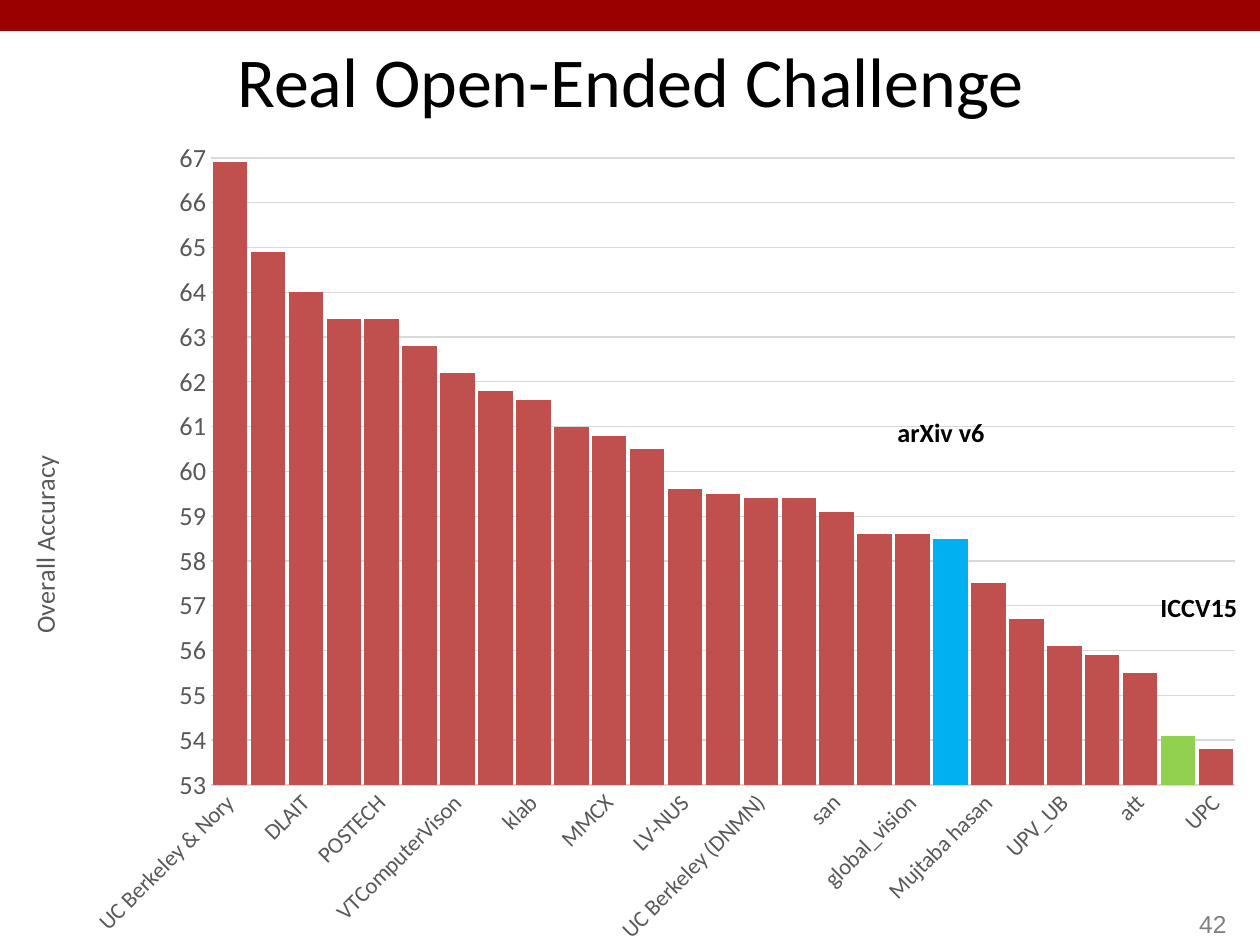
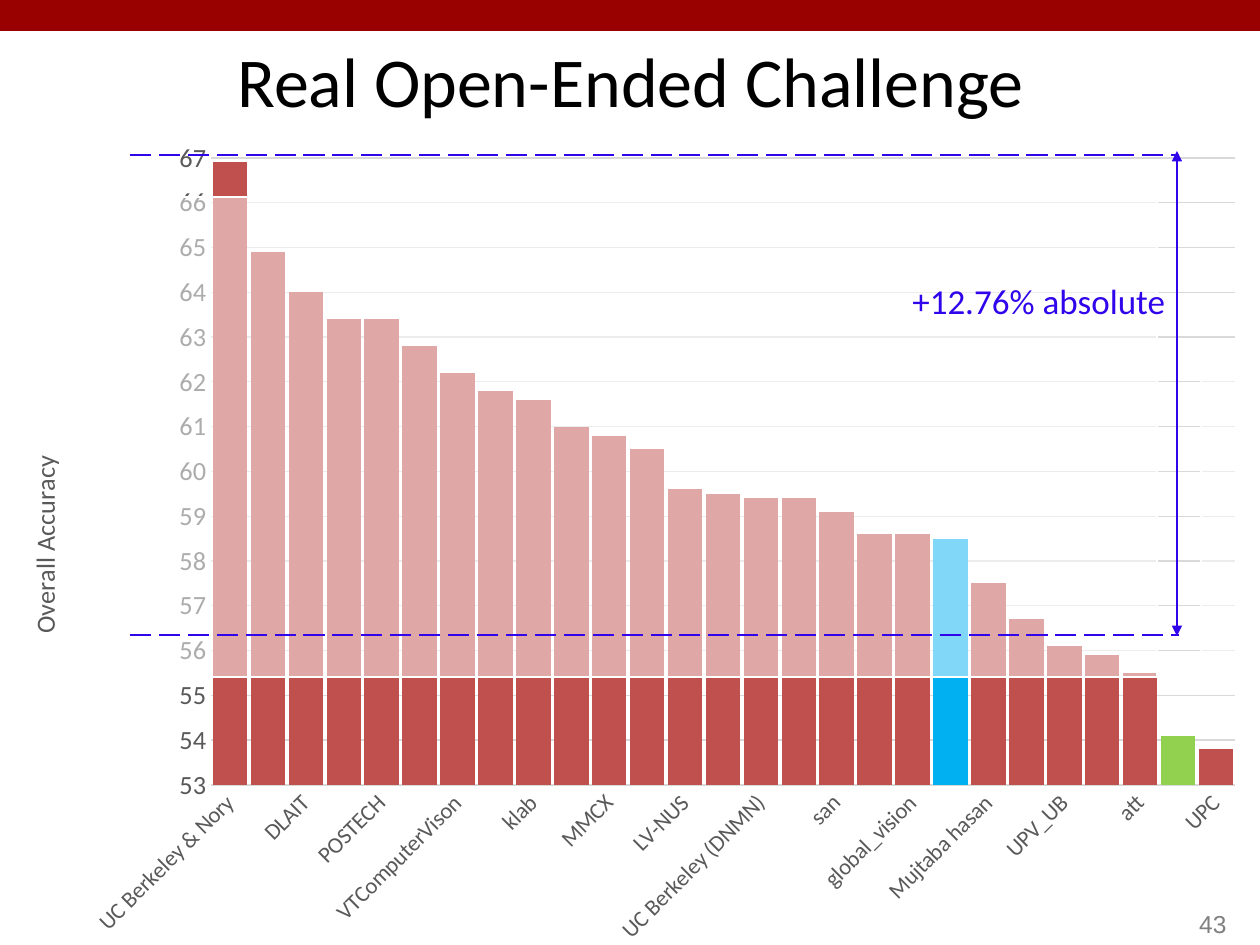
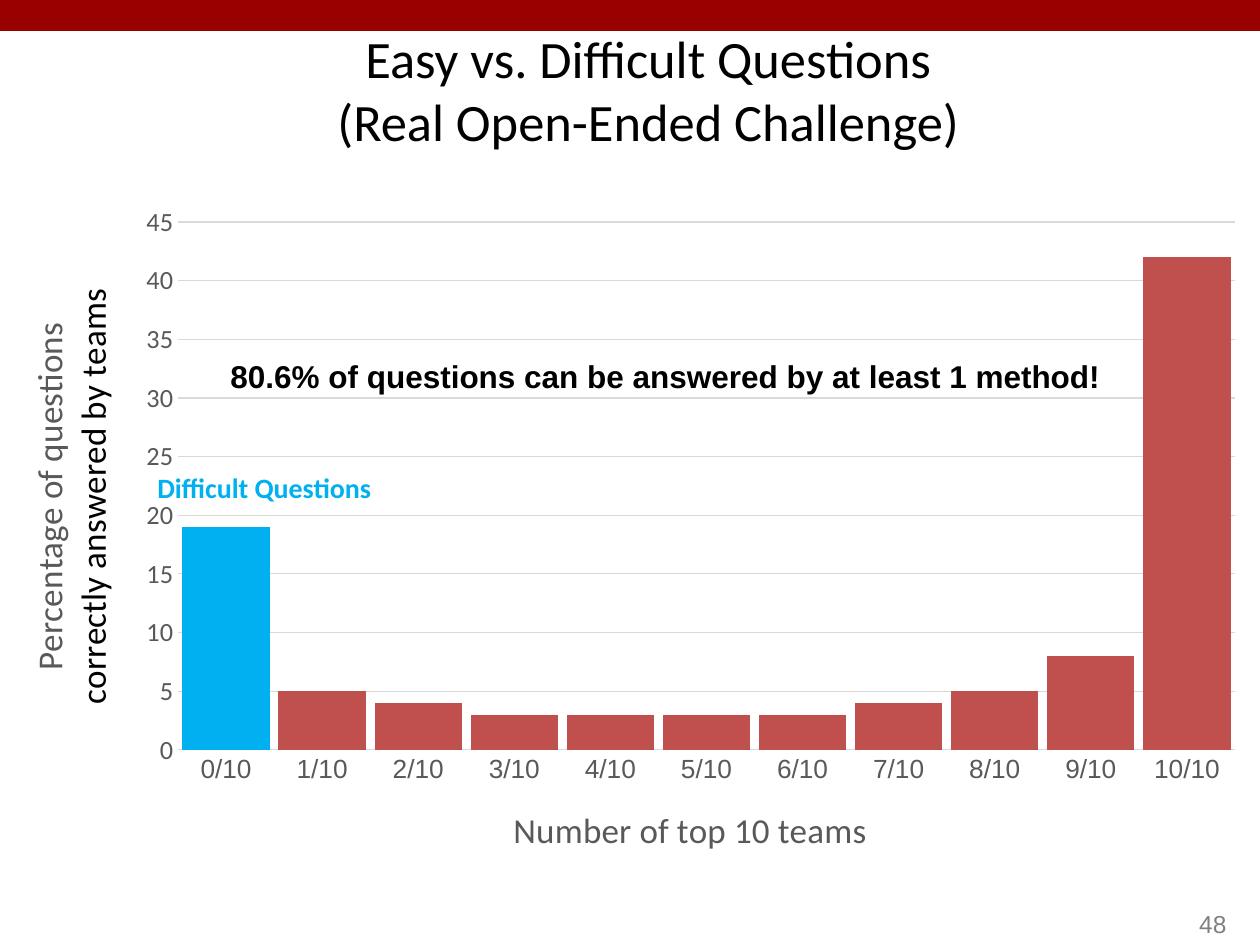
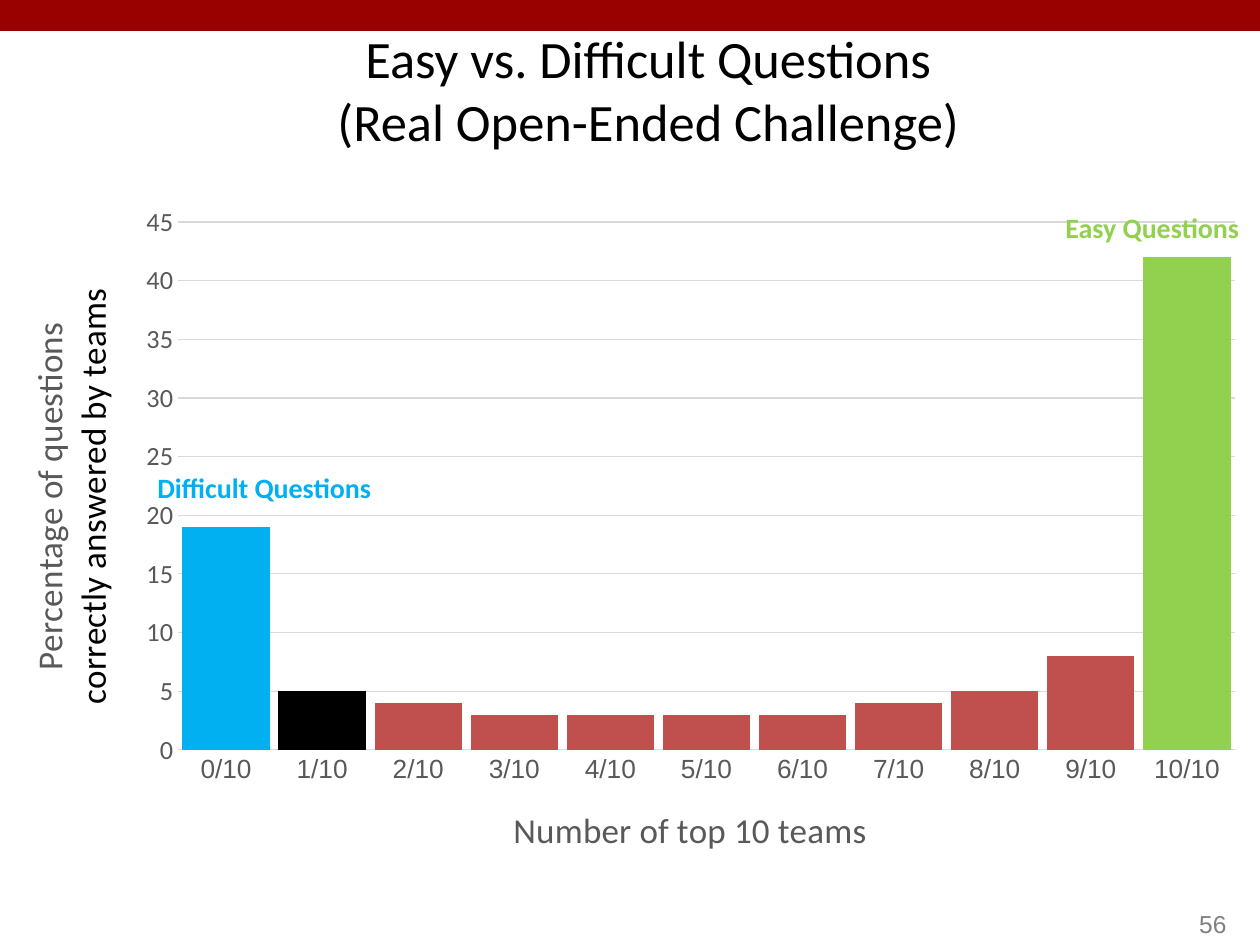
"""Build four slides on the results of the Real Open-Ended Challenge."""
from lxml.etree import SubElement
from pptx import Presentation
from pptx.chart.data import CategoryChartData
from pptx.dml.color import RGBColor
from pptx.enum.chart import XL_CHART_TYPE, XL_TICK_MARK
from pptx.enum.dml import MSO_LINE
from pptx.enum.shapes import MSO_CONNECTOR, MSO_SHAPE
from pptx.enum.text import MSO_ANCHOR, MSO_AUTO_SIZE, PP_ALIGN
from pptx.oxml.ns import qn
from pptx.util import Emu, Pt

PX = 914400 / 126
COLORS = {
    "band": "990000", "black": "000000", "white": "FFFFFF", "number": "808080",
    "axis": "595959", "grid": "D9D9D9", "bar": "C0504D", "blue": "00B0F0",
    "green": "92D050", "gain": "3105EB",
}
RGB = {name: RGBColor.from_string(value) for name, value in COLORS.items()}

LABELLED_TEAMS = [
    "UC Berkeley & Nory", "DLAIT", "POSTECH", "VTComputerVison", "klab", "MMCX", "LV-NUS",
    "UC Berkeley (DNMN)", "san", "global_vision", "Mujtaba hasan", "UPV_UB", "att", "UPC",
]
SCORES = [
    66.9, 64.9, 64, 63.4, 63.4, 62.8, 62.2, 61.8, 61.6, 61, 60.8, 60.5, 59.6, 59.5,
    59.4, 59.4, 59.1, 58.6, 58.6, 58.5, 57.5, 56.7, 56.1, 55.9, 55.5, 54.1, 53.8,
]
TEAMS = [""] * len(SCORES)
TEAMS[::2] = LABELLED_TEAMS
SHARES = [19, 5, 4, 3, 3, 3, 3, 4, 5, 8, 42]
TEAM_COUNTS = [f"{count}/10" for count in range(len(SHARES))]

RANKING = {
    "title": "Real Open-Ended Challenge", "title_box": (95, 32, 1071, 94), "title_size": 40,
    "categories": TEAMS, "values": SCORES,
    "box": (0, 126, 1260, 835), "plot": (211, 158, 1024, 627),
    "scale": (53, 67, 1), "category_font": ("Calibri", 13), "turn": "-2700000",
    "value_title": ("Overall Accuracy", 15, (22, 451)), "category_title": None,
}
DIFFICULTY = {
    "title": "Easy vs. Difficult Questions\n(Real Open-Ended Challenge)",
    "title_box": (113, 42, 1071, 94), "title_size": 30,
    "categories": TEAM_COUNTS, "values": SHARES,
    "box": (0, 193, 1260, 690), "plot": (178, 222, 1057, 528),
    "scale": (0, 45, 5), "category_font": ("Arial", 15), "turn": "0",
    "value_title": ("Percentage of questions\ncorrectly answered by teams", 20, (22, 285)),
    "category_title": ("Number of top 10 teams", 20, (507, 799)),
}
HARD_LABEL = ("Difficult Questions", (145, 464, 262, 52), "Calibri", 16, "blue")
SLIDES = [
    (RANKING, "42", {19: "blue", 25: "green"}, [
        ("ICCV15", (1148, 585, 140, 44), "Calibri", 15, "black"),
        ("arXiv v6", (885, 410, 131, 44), "Calibri", 15, "black")]),
    (RANKING, "43", {19: "blue", 25: "green"}, []),
    (DIFFICULTY, "48", {0: "blue"}, [
        ("80.6% of questions can be answered by at least 1 method!",
         (218, 351, 901, 52), "Arial", 18, "black"),
        HARD_LABEL]),
    (DIFFICULTY, "56", {0: "blue", 1: "black", 10: "green"}, [
        HARD_LABEL,
        ("Easy Questions", (1053, 204, 207, 47), "Calibri", 16, "green")]),
]
VEILS = [(1201, 350, 59, 328), (168, 197, 989, 480)]
GAIN_LINES = [(130, 155, 1179, 155), (130, 635, 1179, 635), (1177, 151, 1177, 636)]


def emu(*lengths):
    """Turn px lengths into EMU."""
    return [Emu(round(length * PX)) for length in lengths]


def write(shape, text, font, size, color, bold=False, align=PP_ALIGN.LEFT):
    """Set the text of a shape and format every run."""
    frame = shape.text_frame
    frame.word_wrap = True
    frame.auto_size = MSO_AUTO_SIZE.NONE
    frame.text = text
    for paragraph in frame.paragraphs:
        paragraph.alignment = align
        for run in paragraph.runs:
            run.font.name, run.font.size, run.font.bold = font, Pt(size), bold
            run.font.color.rgb = RGB[color]


prs = Presentation()
prs.slide_width, prs.slide_height = emu(1260, 945)

for number, (topic, page, highlights, labels) in enumerate(SLIDES):
    slide = prs.slides.add_slide(prs.slide_layouts[5])
    shapes = slide.shapes
    if number == 0:
        band = shapes.add_shape(MSO_SHAPE.RECTANGLE, *emu(0, 0, 1260, 31))
        band.shadow.inherit = False
        band.fill.solid()
        band.fill.fore_color.rgb = RGB["band"]
        band.line.fill.background()
        prs.slide_master.shapes.element.insert(2, band.element)

    title = shapes.title
    title.left, title.top, title.width, title.height = emu(*topic["title_box"])
    write(title, topic["title"], "Calibri", topic["title_size"], "black", align=PP_ALIGN.CENTER)
    title.text_frame.vertical_anchor = MSO_ANCHOR.MIDDLE

    data = CategoryChartData()
    data.categories = topic["categories"]
    data.add_series("Series 1", topic["values"])
    chart = shapes.add_chart(XL_CHART_TYPE.COLUMN_CLUSTERED, *emu(*topic["box"]), data).chart
    chart.has_legend = chart.has_title = False
    chart.font.name, chart.font.size = "Arial", Pt(10)
    chart.font.color.rgb = RGB["black"]
    columns = chart.plots[0]
    columns.vary_by_categories = False
    columns.gap_width, columns.overlap = 10, -27
    bars = columns.series[0]
    bars.invert_if_negative = False
    bars.format.fill.solid()
    bars.format.fill.fore_color.rgb = RGB["bar"]
    for index, color in highlights.items():
        fill = bars.points[index].format.fill
        fill.solid()
        fill.fore_color.rgb = RGB[color]

    values, categories = chart.value_axis, chart.category_axis
    values.minimum_scale, values.maximum_scale, values.major_unit = topic["scale"]
    values.format.line.fill.background()
    gridline = values.major_gridlines.format.line
    for line in (gridline, categories.format.line):
        line.color.rgb, line.width = RGB["grid"], Pt(0.75)

    placed = [(chart.element.find(".//" + qn("c:plotArea")), 0, topic["plot"])]
    for axis, (font, size), heading, turn in (
            (values, ("Calibri", 15), topic["value_title"], "-5400000"),
            (categories, topic["category_font"], topic["category_title"], "0")):
        axis.major_tick_mark = axis.minor_tick_mark = XL_TICK_MARK.NONE
        axis.tick_labels.font.name, axis.tick_labels.font.size = font, Pt(size)
        axis.tick_labels.font.color.rgb = RGB["axis"]
        axis.has_title = heading is not None
        if heading:
            text, heading_size, corner = heading
            frame = axis.axis_title.text_frame
            frame.text = text
            for paragraph, color in zip(frame.paragraphs, ("axis", "black")):
                run_font = paragraph.runs[0].font
                run_font.name, run_font.size, run_font.bold = "Calibri", Pt(heading_size), False
                run_font.color.rgb = RGB[color]
            heading_xml = axis.axis_title._element
            body = heading_xml.find(".//" + qn("a:bodyPr"))
            body.set("rot", turn)
            body.set("vert", "horz")
            placed.append((heading_xml, 1, corner))
    label_body = categories._element.find(qn("c:txPr")).find(qn("a:bodyPr"))
    label_body.set("rot", topic["turn"])
    label_body.set("vert", "horz")

    left, top, width, height = topic["box"]
    for part, position, (x, y, *extent) in placed:
        for old_layout in part.findall(qn("c:layout")):
            part.remove(old_layout)
        layout = SubElement(part, qn("c:layout"))
        part.insert(position, layout)
        manual = SubElement(layout, qn("c:manualLayout"))
        settings = [("xMode", "edge"), ("yMode", "edge"),
                    ("x", round((x - left) / width, 4)), ("y", round((y - top) / height, 4))]
        if extent:
            settings.insert(0, ("layoutTarget", "inner"))
            settings += [("w", round(extent[0] / width, 4)), ("h", round(extent[1] / height, 4))]
        for tag, value in settings:
            SubElement(manual, qn(f"c:{tag}")).set("val", str(value))

    for text, box, font, size, color in labels:
        write(shapes.add_textbox(*emu(*box)), text, font, size, color, bold=True)

    if page == "43":
        for box in VEILS:
            veil = shapes.add_shape(MSO_SHAPE.RECTANGLE, *emu(*box))
            veil.shadow.inherit = False
            veil.fill.solid()
            veil.fill.fore_color.rgb = RGB["white"]
            veil.line.color.rgb, veil.line.width = RGB["white"], Pt(1)
            veil_color = veil.element.find(".//" + qn("a:srgbClr"))
            SubElement(veil_color, qn("a:alpha")).set("val", "50000")
        for ends in GAIN_LINES:
            gain = shapes.add_connector(MSO_CONNECTOR.STRAIGHT, *emu(*ends))
            gain.line.color.rgb, gain.line.width = RGB["gain"], Pt(1.5)
            properties = gain.element.find(qn("p:spPr"))
            if ends[0] == ends[2]:
                for tip in ("a:headEnd", "a:tailEnd"):
                    SubElement(properties.find(qn("a:ln")), qn(tip)).set("type", "triangle")
            else:
                gain.line.dash_style = MSO_LINE.LONG_DASH
            SubElement(properties, qn("a:effectLst"))
        gain_label = shapes.add_textbox(*emu(900, 273, 300, 55))
        write(gain_label, "+12.76% absolute", "Calibri", 20, "gain")

    page_number = shapes.add_textbox(*emu(977, 882, 262, 63))
    write(page_number, page, "Arial", 14, "number", align=PP_ALIGN.RIGHT)
    page_number.text_frame.vertical_anchor = MSO_ANCHOR.BOTTOM

prs.save("out.pptx")
